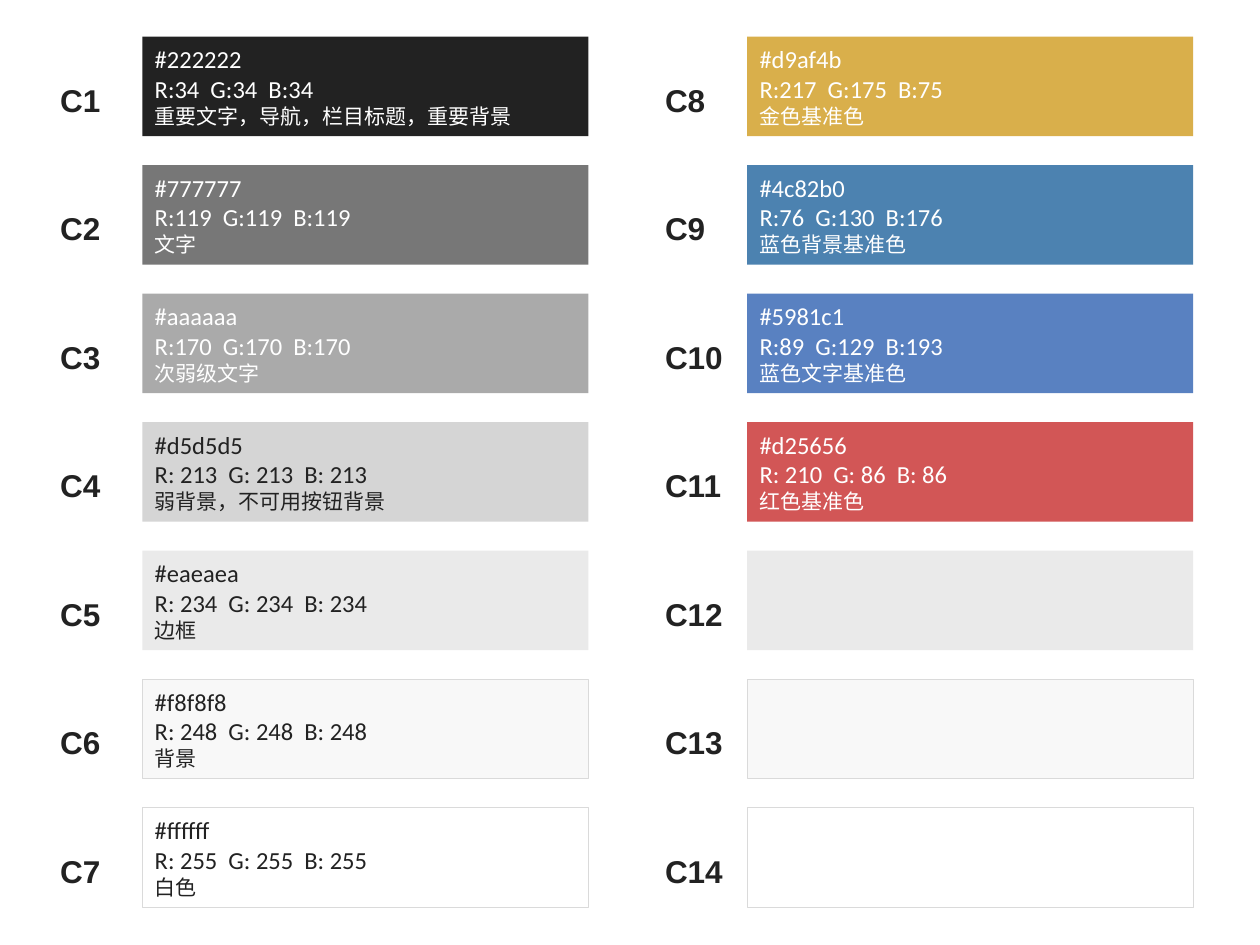
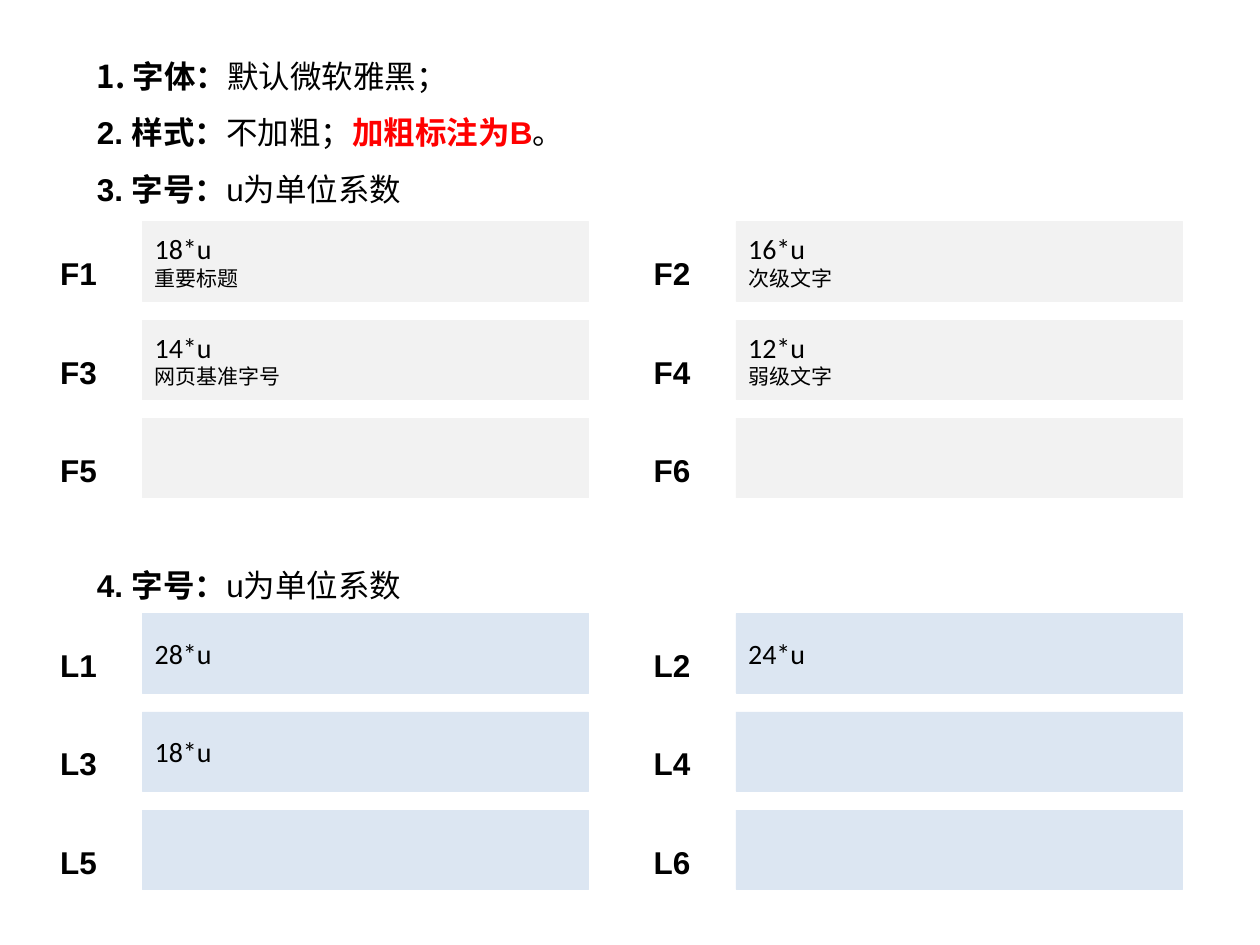
"""Two style-guide slides: a colour palette and a type-size sheet."""
from dataclasses import dataclass

from lxml import etree
from pptx import Presentation
from pptx import util as u
from pptx.dml.color import RGBColor
from pptx.enum import shapes, text
from pptx.oxml.ns import qn


@dataclass(frozen=True)
class Theme:
    """Colours, fonts, type sizes and the measures both slides share."""
    ink: str = "222222"
    black: str = "000000"
    white: str = "FFFFFF"
    alert: str = "FF0000"
    border: str = "DADADA"
    size_panel: str = "F2F2F2"
    line_panel: str = "DCE6F2"
    latin: str = "Calibri"
    label_font: str = "Arial"
    han: str = "Noto Sans CJK SC"
    heading: int = 18
    value: int = 16
    code: int = 14
    note: int = 12
    spacing: float = 1.5
    label_width: float = 0.66
    label_height: float = 0.5
    bar_offset: float = 0.75
    bar_width: float = 3.54
    left: float = 0.38


THEME = Theme()

# Name, description and text colour of each swatch; the fill is its hex code.
PALETTE = [
    [("#222222", "R:34  G:34  B:34", "重要文字，导航，栏目标题，重要背景", THEME.white),
     ("#777777", "R:119  G:119  B:119", "文字", THEME.white),
     ("#aaaaaa", "R:170  G:170  B:170", "次弱级文字", THEME.white),
     ("#d5d5d5", "R: 213  G: 213  B: 213", "弱背景，不可用按钮背景", THEME.ink),
     ("#eaeaea", "R: 234  G: 234  B: 234", "边框", THEME.ink),
     ("#f8f8f8", "R: 248  G: 248  B: 248", "背景", THEME.ink),
     ("#ffffff", "R: 255  G: 255  B: 255", "白色", THEME.ink)],
    [("#d9af4b", "R:217  G:175  B:75", "金色基准色", THEME.white),
     ("#4c82b0", "R:76  G:130  B:176", "蓝色背景基准色", THEME.white),
     ("#5981c1", "R:89  G:129  B:193", "蓝色文字基准色", THEME.white),
     ("#d25656", "R: 210  G: 86  B: 86", "红色基准色", THEME.white),
     ("#eaeaea",), ("#f8f8f8",), ("#ffffff",)],
]
BORDERED = {"#f8f8f8", "#ffffff"}

FONT_SIZES = [("18*u", "重要标题"), ("16*u", "次级文字"),
              ("14*u", "网页基准字号"), ("12*u", "弱级文字"), (), ()]
LINE_SIZES = [("28*u",), ("24*u",), ("18*u",), (), (), ()]

# Each rule is a list of (words, font, bold, colour).
UNIT_RULE = [("字号：", THEME.han, True, THEME.black),
             ("u", THEME.label_font, False, THEME.black),
             ("为单位系数", THEME.han, False, THEME.black)]
RULES = [
    [("1. 字体：", THEME.han, True, THEME.black),
     ("默认微软雅黑；", THEME.han, False, THEME.black)],
    [("2. ", THEME.label_font, True, THEME.black),
     ("样式：", THEME.han, True, THEME.black),
     ("不加粗；", THEME.han, False, THEME.black),
     ("加粗标注为", THEME.han, True, THEME.alert),
     ("B", THEME.label_font, True, THEME.alert),
     ("。", THEME.han, False, THEME.black)],
    [("3. ", THEME.label_font, True, THEME.black)] + UNIT_RULE,
    [("4. ", THEME.label_font, True, THEME.black)] + UNIT_RULE,
]


def apply(target, formats):
    """Set every attribute named in a dict of format values."""
    for name, value in formats.items():
        setattr(target, name, value)


def add_span(para, words, font, size, colour, bold=False):
    """Add one run, with the Han font for East Asian characters."""
    span = para.add_run()
    span.text = words
    apply(span.font, {"name": font, "size": u.Pt(size), "bold": bold})
    span.font.color.rgb = RGBColor.from_string(colour)
    east_asian = etree.SubElement(span.font._element, qn("a:ea"))
    east_asian.set("typeface", THEME.han)


def add_label(page, words, left, top, colour):
    """Place the bold name of a bar."""
    box = page.shapes.add_textbox(u.Inches(left), u.Inches(top),
                                  u.Inches(THEME.label_width), u.Inches(THEME.label_height))
    apply(box.text_frame, {"word_wrap": True, "margin_right": 0})
    para = box.text_frame.paragraphs[0]
    para.line_spacing = THEME.spacing
    add_span(para, words, THEME.label_font, THEME.heading, colour, True)


def add_bar(page, left, top, height, fill, border, lines, colour):
    """Draw a filled bar; lines holds (words, font, size) for each paragraph."""
    bar = page.shapes.add_shape(shapes.MSO_SHAPE.RECTANGLE, u.Inches(left), u.Inches(top),
                                u.Inches(THEME.bar_width), u.Inches(height))
    bar.shadow.inherit = False
    bar.fill.solid()
    bar.fill.fore_color.rgb = RGBColor.from_string(fill)
    if border:
        bar.line.color.rgb = RGBColor.from_string(border)
        bar.line.width = u.Pt(0.25)
    else:
        bar.line.fill.background()
    frame = bar.text_frame
    apply(frame, {"word_wrap": True, "vertical_anchor": text.MSO_ANCHOR.MIDDLE})
    for index, (words, font, size) in enumerate(lines):
        para = frame.add_paragraph() if index else frame.paragraphs[0]
        para.alignment = text.PP_ALIGN.LEFT
        add_span(para, words, font, size, colour)


def palette_column(page, left, top, pitch, swatches, first):
    """Stack labelled colour swatches, numbered from first."""
    for row, (code, *details) in enumerate(swatches):
        y = top + row * pitch
        add_label(page, f"C{first + row}", left, y + 0.15, THEME.ink)
        lines, colour = [], THEME.ink
        if details:
            rgb, note, colour = details
            lines = [(code, THEME.latin, THEME.code), (rgb, THEME.latin, THEME.code),
                     (note, THEME.han, THEME.note)]
        add_bar(page, left + THEME.bar_offset, y, 0.79, code[1:].upper(),
                THEME.border if code in BORDERED else None, lines, colour)


def size_grid(page, left, top, prefix, fill, sizes):
    """Lay out labelled sizes in two columns of equal rows."""
    for index, entry in enumerate(sizes):
        row, column = divmod(index, 2)
        x, y = left + column * 4.71, top + row * 0.78
        add_label(page, f"{prefix}{index + 1}", x, y + 0.06, THEME.black)
        styles = [(THEME.latin, THEME.value), (THEME.han, THEME.note)]
        lines = [(words, *style) for words, style in zip(entry, styles)]
        add_bar(page, x + THEME.bar_offset, y, 0.63, fill, fill, lines, THEME.black)


def rule_list(page, left, top, width, height):
    """Write the numbered rules, leaving room for a grid before the last."""
    box = page.shapes.add_textbox(*(u.Inches(side) for side in (left, top, width, height)))
    frame = box.text_frame
    frame.word_wrap = True
    for index, spans in enumerate(RULES):
        para = frame.add_paragraph() if index else frame.paragraphs[0]
        para.line_spacing = THEME.spacing
        apply(para._p.get_or_add_pPr(), {"marL": u.Inches(0.38), "indent": u.Inches(-0.38)})
        for words, font, bold, colour in spans:
            add_span(para, words, font, THEME.heading, colour, bold)
    para.space_before = u.Pt(194)


def main():
    """Build both slides and save the deck."""
    deck = Presentation()
    apply(deck, {"slide_width": u.Inches(10), "slide_height": u.Inches(7.5)})
    blank = deck.slide_layouts[6]

    page = deck.slides.add_slide(blank)
    for column, swatches in enumerate(PALETTE):
        palette_column(page, THEME.left + column * 4.8, 0.29, 1.02, swatches,
                       1 + column * len(PALETTE[0]))

    page = deck.slides.add_slide(blank)
    rule_list(page, 0.67, 0.25, 8.66, 4.64)
    size_grid(page, THEME.left, 1.76, "F", THEME.size_panel, FONT_SIZES)
    size_grid(page, THEME.left, 4.87, "L", THEME.line_panel, LINE_SIZES)

    deck.save("out.pptx")


main()
